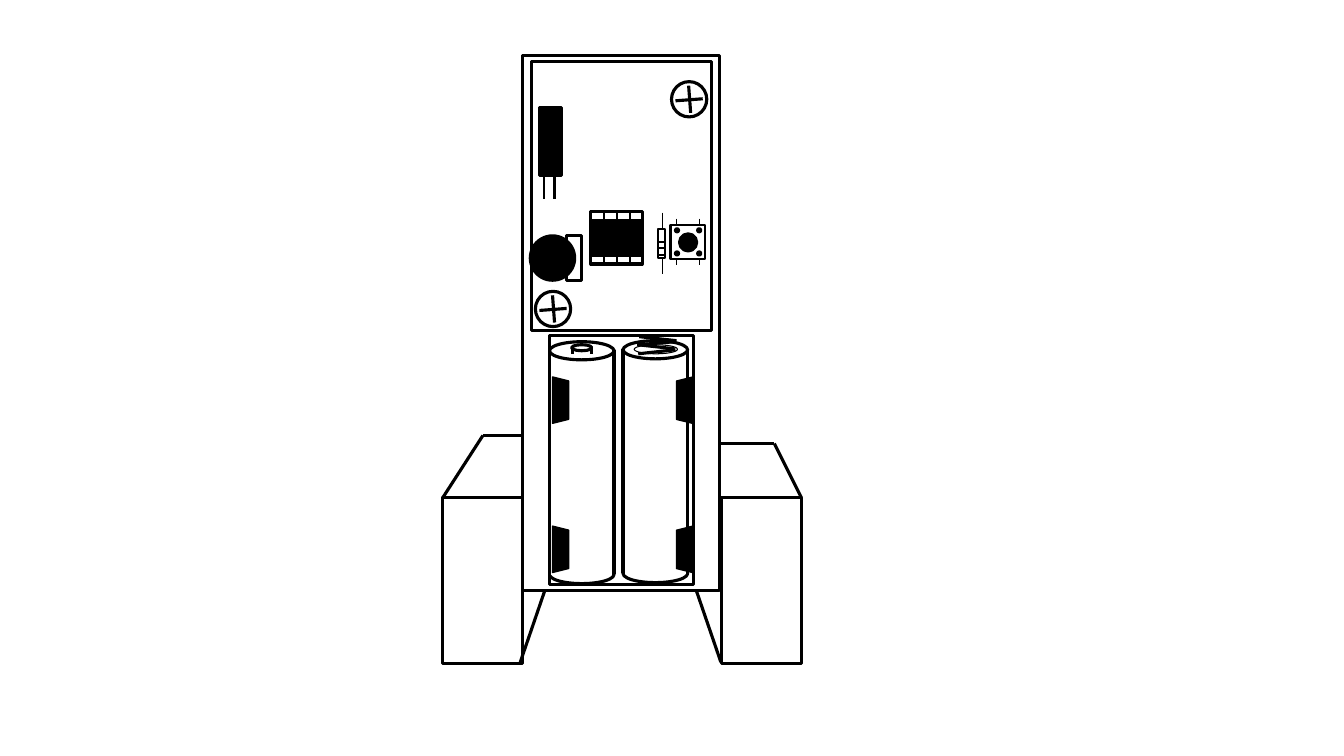
from dataclasses import dataclass
from itertools import product
from typing import Any

from lxml.etree import SubElement
from pptx import Presentation
from pptx.dml.color import RGBColor
from pptx.enum.shapes import MSO_CONNECTOR, MSO_SHAPE
from pptx.oxml.ns import qn
from pptx.util import Inches, Pt


@dataclass(frozen=True)
class Theme:
    ink: RGBColor = RGBColor(0, 0, 0)
    paper: RGBColor = RGBColor(255, 255, 255)
    bold: float = 2.25
    medium: float = 1.5
    thin: float = 1
    hairline: float = 0.75


THEME = Theme()


@dataclass
class Region:
    slide: Any
    left: float
    top: float
    width: float
    height: float

    def inner(self, x, y, width, height):
        return Region(self.slide, self.left + x, self.top + y, width, height)

    def shape(self, kind, x, y, width, height, fill=None, weight=THEME.bold, rotation=0):
        shape = self.slide.shapes.add_shape(
            kind, Inches(self.left + x), Inches(self.top + y), Inches(width), Inches(height)
        )
        shape.shadow.inherit = False
        shape.rotation = rotation
        if fill is None:
            shape.fill.background()
        else:
            shape.fill.solid()
            shape.fill.fore_color.rgb = fill
        shape.line.color.rgb = THEME.ink
        shape.line.width = Pt(weight)

    def rectangle(self, *place, **style):
        self.shape(MSO_SHAPE.RECTANGLE, *place, **style)

    def ellipse(self, *place, **style):
        self.shape(MSO_SHAPE.OVAL, *place, **style)

    def outline(self, **style):
        self.rectangle(0, 0, self.width, self.height, **style)

    def line(self, x1, y1, x2, y2, weight=THEME.bold, color=THEME.ink):
        connector = self.slide.shapes.add_connector(
            MSO_CONNECTOR.STRAIGHT,
            Inches(self.left + x1), Inches(self.top + y1),
            Inches(self.left + x2), Inches(self.top + y2),
        )
        connector.line.color.rgb = color
        connector.line.width = Pt(weight)
        SubElement(connector._element.spPr, qn("a:effectLst"))


def draw_screw(region):
    region.ellipse(0, 0, region.width, region.height)
    region.line(0.31, 0.17, 0.04, 0.19)
    region.line(0.17, 0.04, 0.19, 0.31)


def draw_two_pin_component(region):
    for pin_x in (0.05, 0.15):
        region.line(pin_x, region.height, pin_x, region.height + 0.23, THEME.medium)
    region.outline(fill=THEME.ink)


def draw_sensor(region):
    region.ellipse(0, 0, region.height, region.height, fill=THEME.ink)
    region.rectangle(0.36, 0, 0.15, region.height)


def draw_chip(region):
    region.outline()
    region.rectangle(0, 0.09, region.width, 0.34, fill=THEME.ink)
    for index in range(1, 4):
        region.line(0.13 * index, -0.01, 0.13 * index, region.height, THEME.medium)


def draw_resistor(region):
    for start, end in ((-0.16, 0), (0.3, 0.45)):
        region.line(0.04, start, 0.04, end, THEME.thin)
    region.outline(weight=THEME.medium)
    for band_y in (0.13, 0.19, 0.26):
        region.line(0, band_y, region.width, band_y, THEME.thin)


def draw_push_button(region):
    region.ellipse(0.09, 0.09, 0.17, 0.17, fill=THEME.ink)
    region.outline(weight=THEME.medium)
    for x, y in product((0.05, 0.27), (0.04, 0.27)):
        region.ellipse(x, y, 0.03, 0.03, fill=THEME.ink)
    for x, y in product((0.06, 0.29), (-0.06, 0.35)):
        region.line(x, y, x, y + 0.05, THEME.thin)


def draw_circuit_board(region):
    region.outline()
    draw_screw(region.inner(0.04, 2.28, 0.35, 0.35))
    draw_screw(region.inner(1.39, 0.2, 0.35, 0.35))
    draw_two_pin_component(region.inner(0.08, 0.46, 0.22, 0.67))
    draw_sensor(region.inner(-0.01, 1.73, 0.51, 0.44))
    draw_chip(region.inner(0.59, 1.49, 0.51, 0.52))
    draw_resistor(region.inner(1.26, 1.66, 0.07, 0.29))
    draw_push_button(region.inner(1.38, 1.62, 0.34, 0.34))


def draw_battery(region):
    cap_height = 0.18
    base_y = region.height - cap_height
    region.ellipse(0, base_y, region.width, cap_height, fill=THEME.paper)
    region.rectangle(0, 0.09, region.width, 2.21, fill=THEME.paper)
    region.ellipse(0, 0, region.width, cap_height, fill=THEME.paper)
    region.line(0.02, 2.3, region.width - 0.02, 2.3, color=THEME.paper)


def draw_terminal(region):
    region.ellipse(0, 0, region.width, region.height)
    for x in (0.01, region.width):
        region.line(x, 0.02, x, 0.09)


def draw_spring(region):
    region.ellipse(0, 0, region.width, region.height, weight=THEME.hairline)
    region.line(0.05, -0.08, 0.42, -0.04)
    region.line(0.04, 0, 0.41, -0.03)
    region.line(0.03, 0, 0.4, 0.04)
    region.line(0.04, 0.09, 0.41, 0.05)


def draw_battery_holder(region):
    region.outline()
    draw_battery(region.inner(0, 0.06, 0.64, 2.4))
    draw_battery(region.inner(0.73, 0.05, 0.64, 2.4))
    draw_terminal(region.inner(0.22, 0.09, 0.2, 0.06))
    draw_spring(region.inner(0.84, 0.09, 0.43, 0.09))
    for (x, rotation), y in product(((-0.12, 90), (1.11, 270)), (0.56, 2.04)):
        region.shape(MSO_SHAPE.TRAPEZOID, x, y, 0.46, 0.16,
                     fill=THEME.ink, weight=THEME.thin, rotation=rotation)


def draw_wheel(region, outer_x, peak_x, inner_x, rise, brace_top_x, brace_foot_x):
    region.outline()
    region.line(peak_x, -rise, outer_x, 0)
    region.line(peak_x, -rise, inner_x, -rise)
    region.line(brace_top_x, 0.93, brace_foot_x, 1.63)


def draw_robot(region):
    region.outline()
    draw_circuit_board(region.inner(0.09, 0.06, 1.79, 2.67))
    draw_wheel(region.inner(-0.79, 4.39, 0.79, 1.64), 0, 0.4, 0.79, 0.62, 1.01, 0.77)
    draw_wheel(region.inner(1.98, 4.39, 0.79, 1.64), 0.79, 0.52, -0.02, 0.54, -0.25, -0.01)
    draw_battery_holder(region.inner(0.27, 2.78, 1.43, 2.47))


def main():
    presentation = Presentation()
    presentation.slide_width = Inches(13.33)
    presentation.slide_height = Inches(7.5)
    slide = presentation.slides.add_slide(presentation.slide_layouts[6])
    draw_robot(Region(slide, 5.18, 0.55, 1.96, 5.31))
    presentation.save("out.pptx")


if __name__ == "__main__":
    main()
